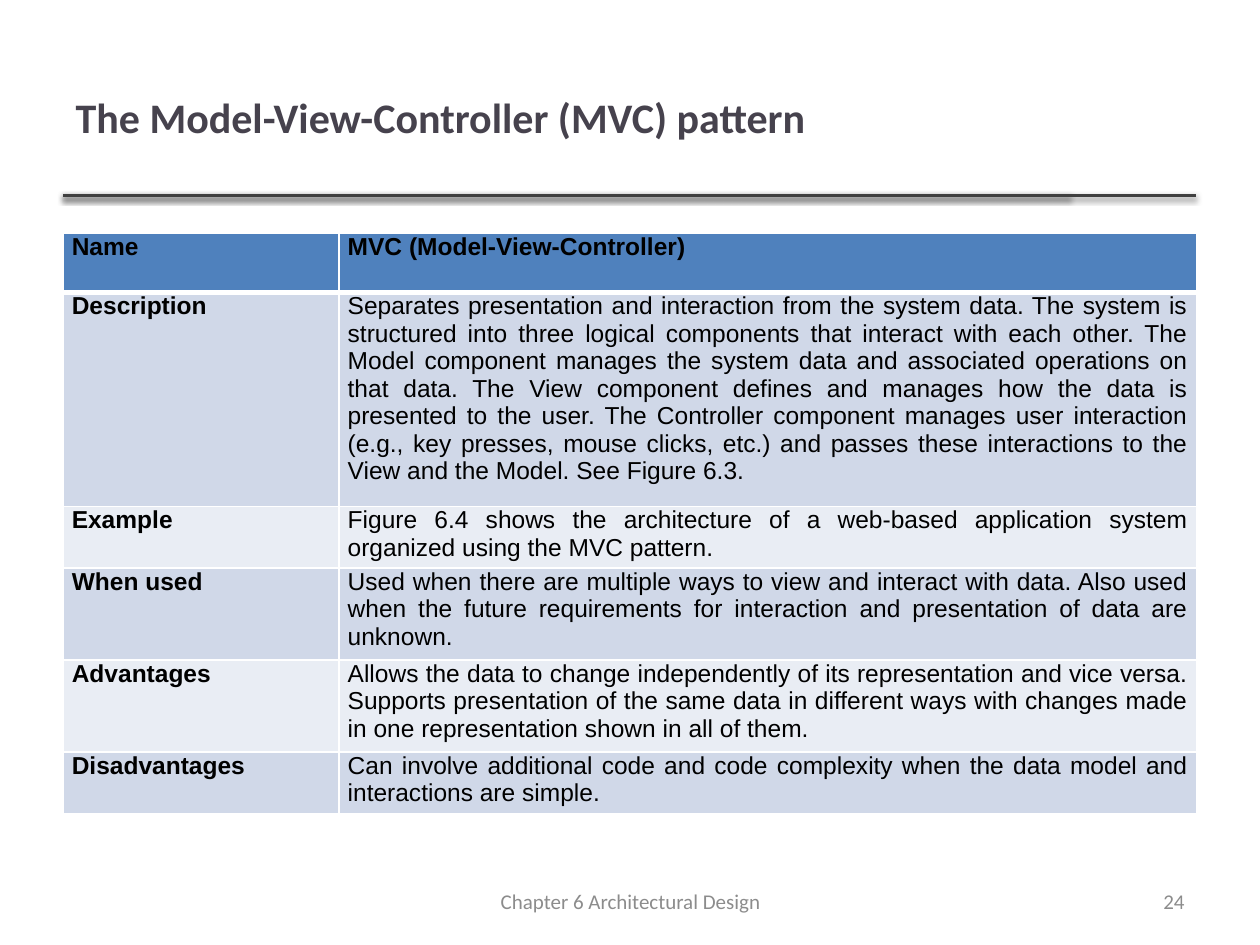
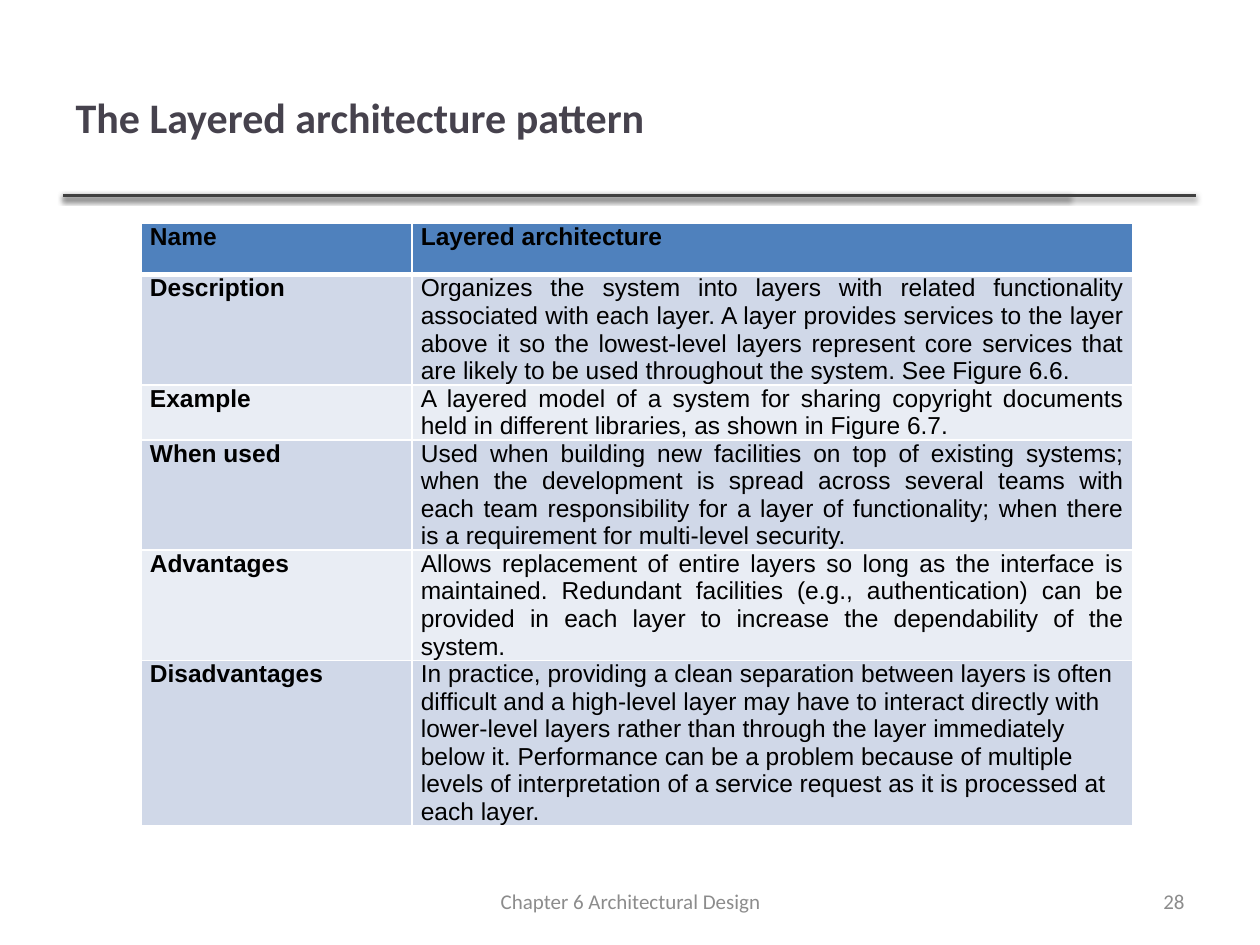
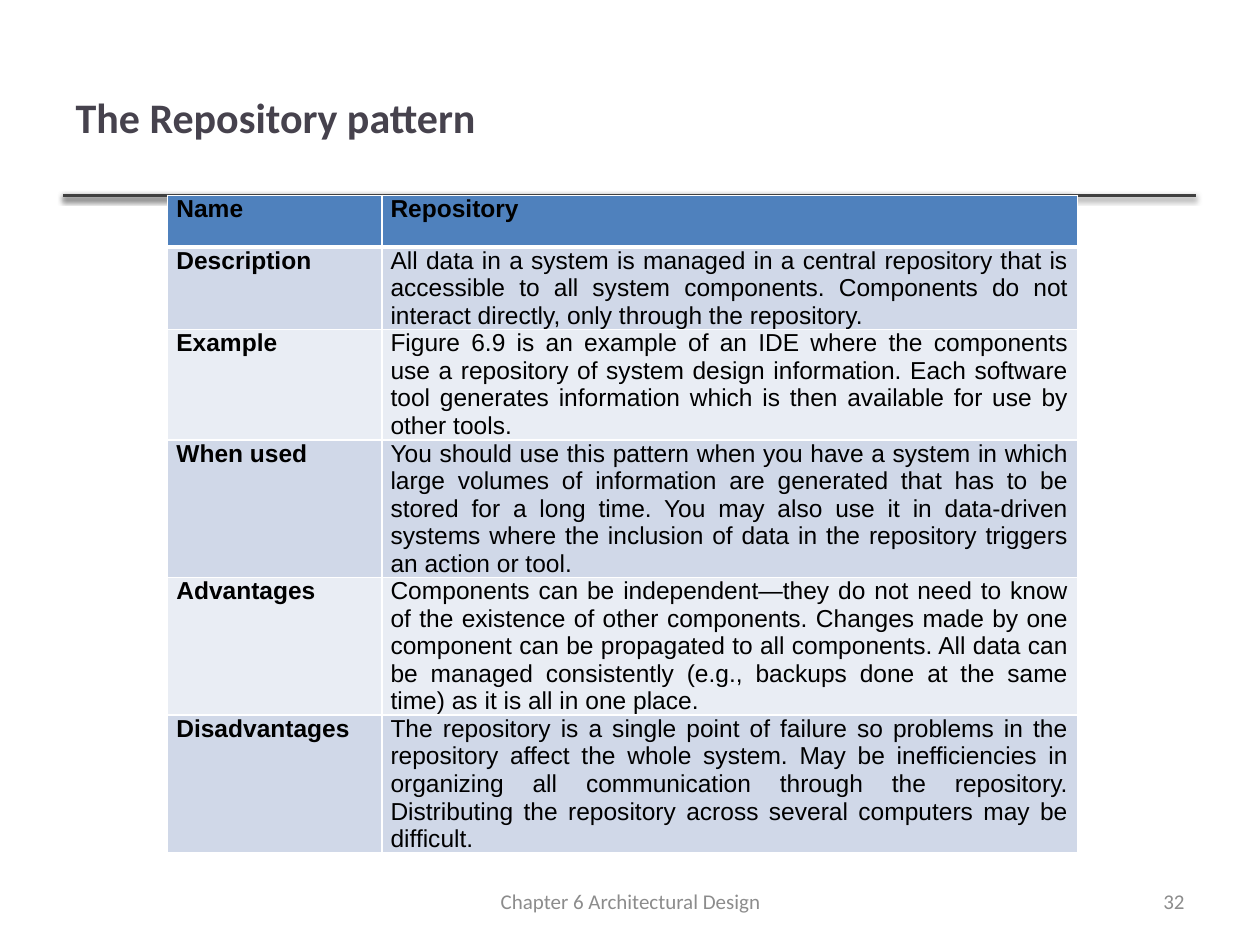
from dataclasses import dataclass

import lxml.etree
import pptx
import pptx.dml.color
import pptx.enum.shapes
import pptx.enum.text
import pptx.oxml
import pptx.oxml.ns
import pptx.slide
import pptx.table
import pptx.text.text
import pptx.util

Inches = pptx.util.Inches
Pt = pptx.util.Pt
RGBColor = pptx.dml.color.RGBColor
Align = pptx.enum.text.PP_ALIGN
Anchor = pptx.enum.text.MSO_ANCHOR

TITLE_COLOR = RGBColor(0x46, 0x42, 0x4D)
RULE_COLOR = RGBColor(0x40, 0x40, 0x40)
FOOTER_COLOR = RGBColor(0x8C, 0x8C, 0x8C)
TEXT_COLOR = RGBColor(0x00, 0x00, 0x00)
BORDER_COLOR = RGBColor(0xFF, 0xFF, 0xFF)
HEADER_FILL = RGBColor(0x4F, 0x81, 0xBD)
BAND_FILLS = (RGBColor(0xE9, 0xED, 0xF4), RGBColor(0xD0, 0xD8, 0xE8))

TITLE_FORMAT = {"name": "Calibri", "size": Pt(24), "bold": True}
FOOTER_FORMAT = {"name": "Calibri", "size": Pt(12)}
CELL_FORMAT = {"name": "Arial", "size": Pt(14)}
CELL_MARGINS = {
    "margin_left": Inches(0.07), "margin_right": Inches(0.07),
    "margin_top": 0, "margin_bottom": 0,
}

LABELS = ("Name", "Description", "Example", "When used", "Advantages", "Disadvantages")
CHAPTER = "Chapter 6 Architectural Design"
RULE_LEFT, RULE_TOP = 0.5, 1.55
RULE_RIGHTS = (8.49, 9.49)
COMPACT_ROWS = (0.41,) * len(LABELS)

DRAWING = pptx.oxml.ns.nsdecls("a")
RULE_SHADOW = (
    f'<a:effectLst {DRAWING}><a:outerShdw blurRad="{Pt(3.1)}" dist="{Pt(1.6)}" '
    'dir="5400000" rotWithShape="0"><a:srgbClr val="000000"><a:alpha val="38000"/>'
    "</a:srgbClr></a:outerShdw></a:effectLst>"
)


@dataclass(frozen=True)
class Box:
    left: float
    top: float
    width: float
    height: float

    def lengths(self) -> list[int]:
        return [Inches(value) for value in (self.left, self.top, self.width, self.height)]


@dataclass(frozen=True)
class Pattern:
    title: str
    number: int
    box: Box
    columns: tuple[float, float]
    rows: tuple[float, ...]
    texts: tuple[str, ...]
    last_alignment: Align = Align.JUSTIFY


TITLE_BOX = Box(0.5, 0.3, 7.98, 1.25)
FOOTER_BOX = Box(3.42, 6.95, 3.17, 0.4)
NUMBER_BOX = Box(7.17, 6.95, 2.33, 0.4)

PATTERNS = (
    Pattern(
        "The Model-View-Controller (MVC) pattern", 24,
        Box(0.5, 1.85, 9, 4.6), (2.19, 6.81), (0.47, 1.7, 0.49, 0.73, 0.73, 0.49),
        (
            "MVC (Model-View-Controller)",
            "Separates presentation and interaction from the system data. The system is "
            "structured into three logical components that interact with each other. The "
            "Model component manages the system data and associated operations on that "
            "data. The View component defines and manages how the data is presented to the "
            "user. The Controller component manages user interaction (e.g., key presses, "
            "mouse clicks, etc.) and passes these interactions to the View and the Model. "
            "See Figure 6.3.",
            "Figure 6.4 shows the architecture of a web-based application system organized "
            "using the MVC pattern.",
            "Used when there are multiple ways to view and interact with data. Also used "
            "when the future requirements for interaction and presentation of data are "
            "unknown.",
            "Allows the data to change independently of its representation and vice versa. "
            "Supports presentation of the same data in different ways with changes made in "
            "one representation shown in all of them.",
            "Can involve additional code and code complexity when the data model and "
            "interactions are simple.",
        ),
    ),
    Pattern(
        "The Layered architecture pattern", 28,
        Box(1.12, 1.77, 7.86, 5.07), (2.15, 5.72), COMPACT_ROWS,
        (
            "Layered architecture",
            "Organizes the system into layers with related functionality associated with "
            "each layer. A layer provides services to the layer above it so the "
            "lowest-level layers represent core services that are likely to be used "
            "throughout the system. See Figure 6.6.",
            "A layered model of a system for sharing copyright documents held in different "
            "libraries, as shown in Figure 6.7.",
            "Used when building new facilities on top of existing systems; when the "
            "development is spread across several teams with each team responsibility for "
            "a layer of functionality; when there is a requirement for multi-level "
            "security.",
            "Allows replacement of entire layers so long as the interface is maintained. "
            "Redundant facilities (e.g., authentication) can be provided in each layer to "
            "increase the dependability of the system.",
            "In practice, providing a clean separation between layers is often difficult "
            "and a high-level layer may have to interact directly with lower-level layers "
            "rather than through the layer immediately below it. Performance can be a "
            "problem because of multiple levels of interpretation of a service request as "
            "it is processed at each layer.",
        ),
        last_alignment=Align.LEFT,
    ),
    Pattern(
        "The Repository pattern", 32,
        Box(1.33, 1.55, 7.21, 5.54), (1.7, 5.52), COMPACT_ROWS,
        (
            "Repository",
            "All data in a system is managed in a central repository that is accessible to "
            "all system components. Components do not interact directly, only through the "
            "repository.",
            "Figure 6.9 is an example of an IDE where the components use a repository of "
            "system design information. Each software tool generates information which is "
            "then available for use by other tools.",
            "You should use this pattern when you have a system in which large volumes of "
            "information are generated that has to be stored for a long time. You may also "
            "use it in data-driven systems where the inclusion of data in the repository "
            "triggers an action or tool.",
            "Components can be independent—they do not need to know of the existence of "
            "other components. Changes made by one component can be propagated to all "
            "components. All data can be managed consistently (e.g., backups done at the "
            "same time) as it is all in one place.",
            "The repository is a single point of failure so problems in the repository "
            "affect the whole system. May be inefficiencies in organizing all communication "
            "through the repository. Distributing the repository across several computers "
            "may be difficult.",
        ),
    ),
)


def set_attributes(target: object, values: dict) -> None:
    for name, value in values.items():
        setattr(target, name, value)


def write_text(frame: pptx.text.text.TextFrame, text: str, alignment: Align,
               color: RGBColor, font_format: dict) -> None:
    paragraph = frame.paragraphs[0]
    paragraph.alignment = alignment
    run = paragraph.add_run()
    run.text = text
    set_attributes(run.font, font_format)
    run.font.color.rgb = color


def add_title(slide: pptx.slide.Slide, text: str) -> None:
    title = slide.shapes.title
    title.left, title.top, title.width, title.height = TITLE_BOX.lengths()
    frame = title.text_frame
    frame.auto_size = pptx.enum.text.MSO_AUTO_SIZE.NONE
    frame.vertical_anchor = Anchor.MIDDLE
    write_text(frame, text, Align.LEFT, TITLE_COLOR, TITLE_FORMAT)


def add_rules(slide: pptx.slide.Slide) -> None:
    """Draw the two overlapping shadowed lines under the title."""
    for right in RULE_RIGHTS:
        rule = slide.shapes.add_connector(
            pptx.enum.shapes.MSO_CONNECTOR.STRAIGHT,
            Inches(RULE_LEFT), Inches(RULE_TOP), Inches(right), Inches(RULE_TOP))
        rule.line.color.rgb = RULE_COLOR
        rule.line.width = Pt(2)
        rule._element.spPr.append(pptx.oxml.parse_xml(RULE_SHADOW))


def add_footer(slide: pptx.slide.Slide, box: Box, text: str, alignment: Align) -> None:
    frame = slide.shapes.add_textbox(*box.lengths()).text_frame
    frame.word_wrap = True
    frame.vertical_anchor = Anchor.MIDDLE
    write_text(frame, text, alignment, FOOTER_COLOR, FOOTER_FORMAT)


def set_borders(cell: pptx.table._Cell, row: int) -> None:
    """Give the cell white borders, thick between the header and the body."""
    widths = {"L": 1, "R": 1, "T": 3 if row == 1 else 1, "B": 3 if row == 0 else 1}
    properties = cell._tc.get_or_add_tcPr()
    for side, width in widths.items():
        properties.append(pptx.oxml.parse_xml(
            f'<a:ln{side} {DRAWING} w="{Pt(width)}"><a:solidFill>'
            f'<a:srgbClr val="{BORDER_COLOR}"/></a:solidFill></a:ln{side}>'))


def add_pattern_table(slide: pptx.slide.Slide, pattern: Pattern) -> None:
    frame = slide.shapes.add_table(
        len(LABELS), len(pattern.columns), *pattern.box.lengths())
    table = frame.table
    for column, width in zip(table.columns, pattern.columns):
        column.width = Inches(width)
    for row, height in zip(table.rows, pattern.rows):
        row.height = Inches(height)
    frame.height = Inches(pattern.box.height)

    last_row = len(LABELS) - 1
    for row, texts in enumerate(zip(LABELS, pattern.texts)):
        for column, text in enumerate(texts):
            cell = table.cell(row, column)
            set_attributes(cell, CELL_MARGINS)
            set_borders(cell, row)
            cell.fill.solid()
            cell.fill.fore_color.rgb = BAND_FILLS[row % 2] if row else HEADER_FILL
            is_last = (row, column) == (last_row, 1)
            alignment = pattern.last_alignment if is_last else Align.JUSTIFY
            bold = row == 0 or column == 0
            write_text(cell.text_frame, text, alignment, TEXT_COLOR,
                       CELL_FORMAT | {"bold": bold})


def main() -> None:
    presentation = pptx.Presentation()
    presentation.slide_width = Inches(10)
    presentation.slide_height = Inches(7.5)
    title_only = presentation.slide_layouts.get_by_name("Title Only")
    for pattern in PATTERNS:
        slide = presentation.slides.add_slide(title_only)
        add_rules(slide)
        add_title(slide, pattern.title)
        add_pattern_table(slide, pattern)
        add_footer(slide, FOOTER_BOX, CHAPTER, Align.CENTER)
        add_footer(slide, NUMBER_BOX, str(pattern.number), Align.RIGHT)
    presentation.save("out.pptx")


if __name__ == "__main__":
    main()
